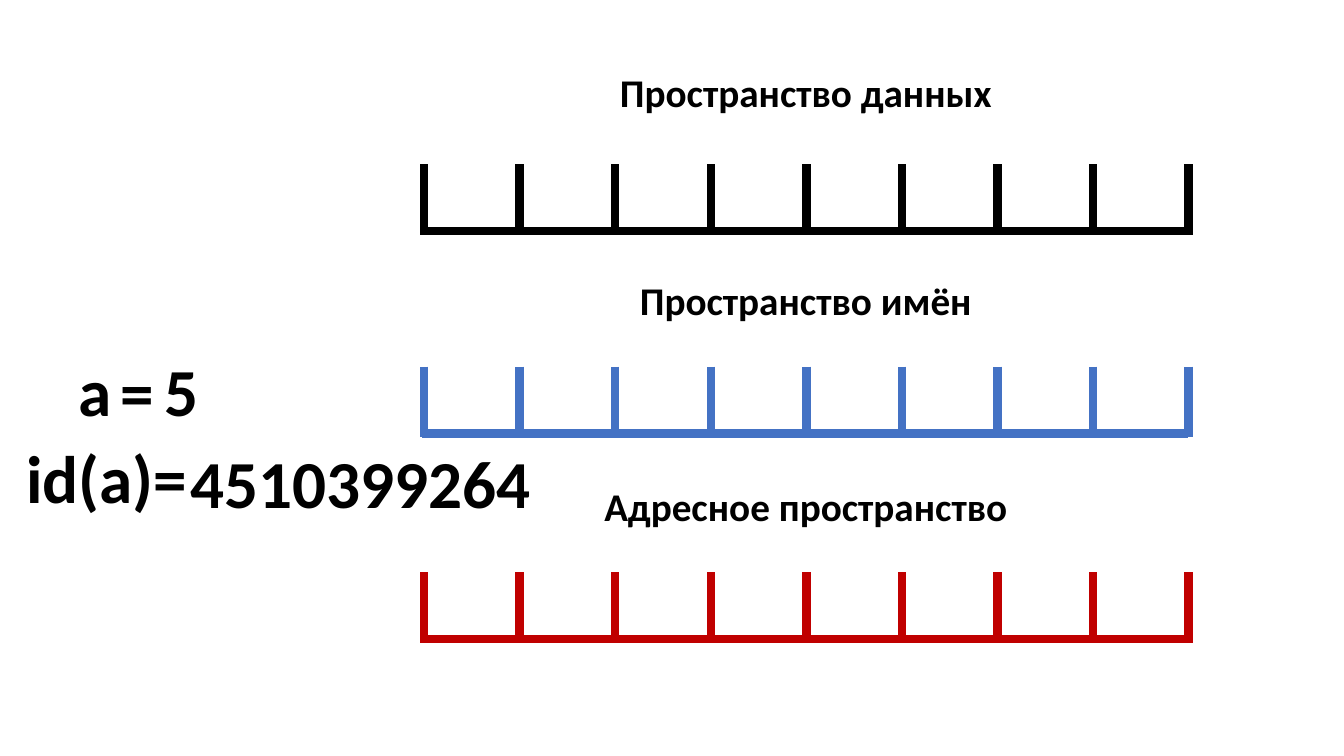
from pptx import Presentation
from pptx.dml.color import RGBColor
from pptx.enum.shapes import MSO_CONNECTOR
from pptx.enum.text import MSO_AUTO_SIZE, PP_ALIGN
from pptx.oxml.ns import qn
from pptx.util import Cm, Pt

BLACK = RGBColor(0x00, 0x00, 0x00)
BLUE = RGBColor(0x44, 0x72, 0xC4)
RED = RGBColor(0xC0, 0x00, 0x00)

SCALE_LEFT, SCALE_RIGHT = 10.69, 29.95
CELL_COUNT = 8
TICK_ABOVE, TICK_BELOW = 1.68, 0.1
LABEL_LEFT, LABEL_WIDTH, LABEL_HEIGHT = 10.64, 19.33, 1.45
EXPRESSION_HEIGHT = 2.31

# label, label top, baseline, colour
SPACES = [
    ("Пространство данных", 1.6, 5.82, BLACK),
    ("Пространство имён", 6.83, 10.92, BLUE),
    ("Адресное пространство", 12.04, 16.1, RED),
]
# text, left, top, width
EXPRESSIONS = [
    ("a", 1.73, 8.69, 1.22),
    ("=", 2.79, 8.71, 1.22),
    ("5", 3.89, 8.69, 1.22),
    ("id(a)=", 0.41, 10.87, 4.7),
    ("4510399264", 4.55, 11, 9.32),
]


class SlidePainter:
    font_name = "Calibri"
    line_width = Pt(6)

    def __init__(self, slide):
        self.slide = slide

    def line(self, start_x, start_y, end_x, end_y, color):
        connector = self.slide.shapes.add_connector(
            MSO_CONNECTOR.STRAIGHT, Cm(start_x), Cm(start_y), Cm(end_x), Cm(end_y))
        connector.line.color.rgb = color
        connector.line.width = self.line_width
        properties = connector._element.spPr
        properties.append(properties.makeelement(qn("a:effectLst")))

    def text(self, wording, left, top, width, height, size, align=PP_ALIGN.LEFT):
        box = self.slide.shapes.add_textbox(Cm(left), Cm(top), Cm(width), Cm(height))
        frame = box.text_frame
        frame.word_wrap = True
        frame.auto_size = MSO_AUTO_SIZE.SHAPE_TO_FIT_TEXT
        frame.text = wording
        para = frame.paragraphs[0]
        para.alignment = align
        font = para.runs[0].font
        font.name = self.font_name
        font.size = Pt(size)
        font.bold = True
        font.color.rgb = BLACK

    def scale(self, baseline, color):
        """Draw a row of open cells: a baseline with evenly spaced ticks."""
        self.line(LABEL_LEFT, baseline, SCALE_RIGHT, baseline, color)
        step = (SCALE_RIGHT - SCALE_LEFT) / CELL_COUNT
        for index in range(CELL_COUNT + 1):
            x = SCALE_LEFT + index * step
            self.line(x, baseline - TICK_ABOVE, x, baseline + TICK_BELOW, color)


def main():
    deck = Presentation()
    deck.slide_width, deck.slide_height = Cm(33.87), Cm(19.05)
    painter = SlidePainter(deck.slides.add_slide(deck.slide_layouts[6]))
    for label, label_top, baseline, color in SPACES:
        painter.scale(baseline, color)
        painter.text(label, LABEL_LEFT, label_top, LABEL_WIDTH, LABEL_HEIGHT,
                     28, PP_ALIGN.CENTER)
    for wording, left, top, width in EXPRESSIONS:
        painter.text(wording, left, top, width, EXPRESSION_HEIGHT, 48)
    deck.save("out.pptx")


if __name__ == "__main__":
    main()
